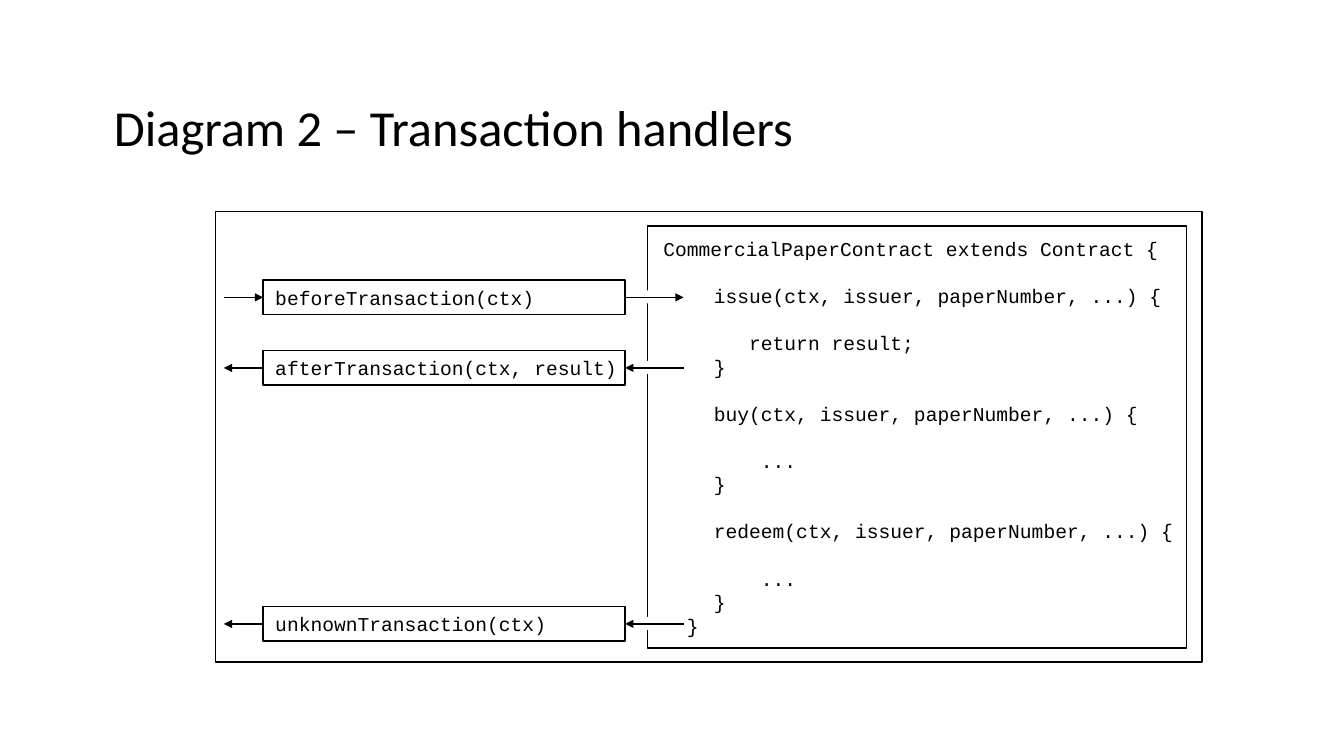
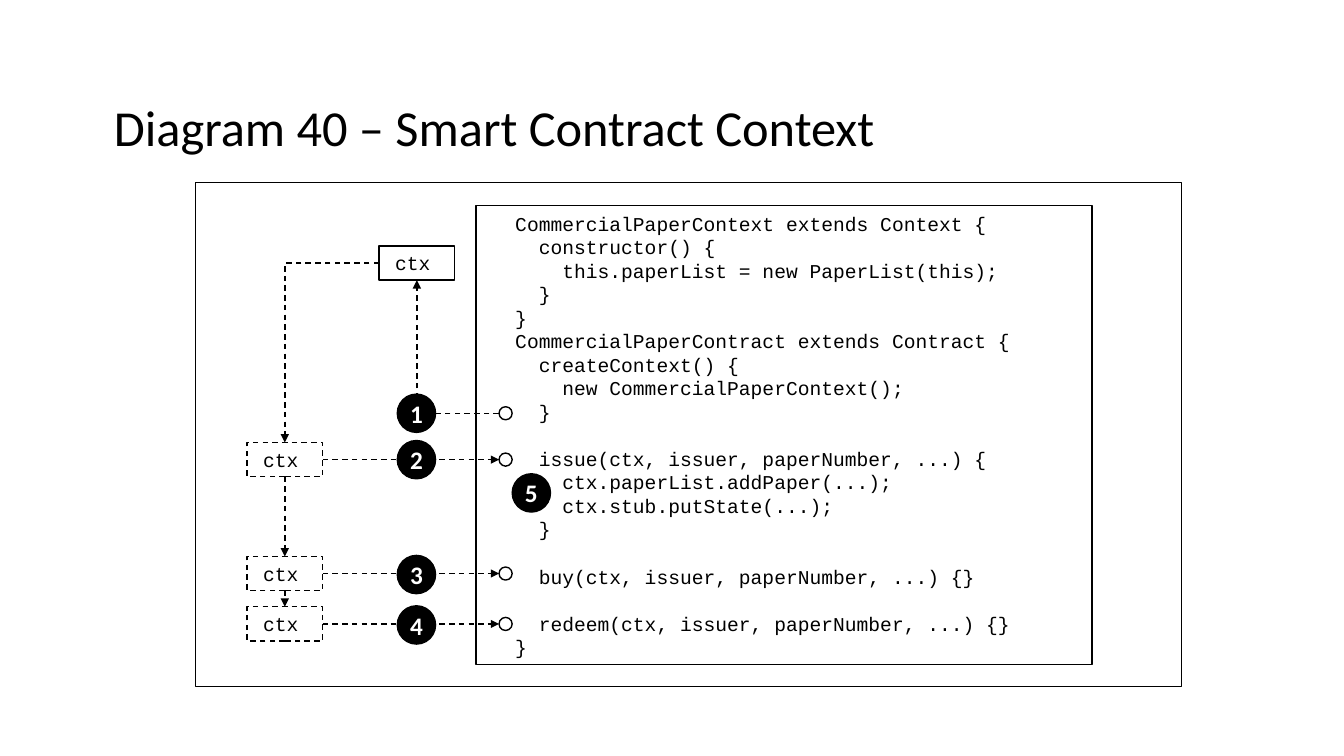
"""Build two diagrams of a smart contract: transaction handlers and context."""
from lxml.etree import SubElement
from pptx import Presentation
from pptx.dml.color import RGBColor
from pptx.enum.dml import MSO_LINE_DASH_STYLE as DASH
from pptx.enum.shapes import MSO_CONNECTOR as CONNECTOR, MSO_SHAPE as SHAPE
from pptx.enum.text import MSO_ANCHOR as ANCHOR, PP_ALIGN as ALIGN
from pptx.oxml.ns import qn
from pptx.util import Inches, Pt

BLACK = RGBColor(0x00, 0x00, 0x00)
WHITE = RGBColor(0xFF, 0xFF, 0xFF)
TITLE_FONT = "Calibri"
CODE_FONT = "Courier New"
CODE_SIZE = 14
BOX_HEIGHT = 0.34
DOT = 0.13
BADGE = 0.38

HANDLER_CODE = """CommercialPaperContract extends Contract {

issue(ctx, issuer, paperNumber, ...) {

   return result;
}

buy(ctx, issuer, paperNumber, ...) {

    ...
}

redeem(ctx, issuer, paperNumber, ...) {

    ...
}
  }"""

CONTEXT_CODE = """CommercialPaperContext extends Context {
  constructor() {
    this.paperList = new PaperList(this);
  }
}
CommercialPaperContract extends Contract {
  createContext() {
    new CommercialPaperContext();
  }

  issue(ctx, issuer, paperNumber, ...) {
    ctx.paperList.addPaper(...);
    ctx.stub.putState(...);
  }

  buy(ctx, issuer, paperNumber, ...) {}

  redeem(ctx, issuer, paperNumber, ...) {}
}"""


def draw(page, kind, left, top, width, height, code="", inset=0.16, right=0.05,
         fill=WHITE, outline=True, dashed=False):
    """Add a shape with optional left-aligned code."""
    shape = page.shapes.add_shape(kind, Inches(left), Inches(top), Inches(width), Inches(height))
    shape.shadow.inherit = False
    if fill is None:
        shape.fill.background()
    else:
        shape.fill.solid()
        shape.fill.fore_color.rgb = fill
    if outline:
        shape.line.color.rgb = BLACK
        shape.line.width = Pt(1)
        if dashed:
            shape.line.dash_style = DASH.DASH
    else:
        shape.line.fill.background()
    if code:
        frame = shape.text_frame
        frame.word_wrap = True
        frame.vertical_anchor = ANCHOR.MIDDLE
        frame.margin_left, frame.margin_right = Inches(inset), Inches(right)
        frame.margin_top = frame.margin_bottom = Inches(0.05)
        frame.text = code
        for para in frame.paragraphs:
            para.alignment = ALIGN.LEFT
            para.font.name = CODE_FONT
            para.font.size = Pt(CODE_SIZE)
            para.font.color.rgb = BLACK
            if not para.text:
                blank = SubElement(para._p, qn("a:endParaRPr"), sz=str(CODE_SIZE * 100))
                SubElement(blank, qn("a:latin"), typeface=CODE_FONT)
    return shape


def connect(page, start_x, start_y, end_x, end_y, dashed=False, bent=False):
    """Add an arrow that points at its end."""
    kind = CONNECTOR.ELBOW if bent else CONNECTOR.STRAIGHT
    arrow = page.shapes.add_connector(
        kind, Inches(start_x), Inches(start_y), Inches(end_x), Inches(end_y))
    arrow.line.color.rgb = BLACK
    arrow.line.width = Pt(1)
    if dashed:
        arrow.line.dash_style = DASH.DASH
    properties = arrow._element.spPr
    SubElement(properties.find(qn("a:ln")), qn("a:tailEnd"), type="triangle")
    SubElement(properties, qn("a:effectLst"))
    if bent:
        properties.find(qn("a:prstGeom")).set("prst", "bentConnector2")
    return arrow


deck = Presentation()
deck.slide_width, deck.slide_height = Inches(13.33), Inches(7.5)

pages = []
for title, frame_box in [
    ("Diagram 2 – Transaction handlers", (2.14, 2.1, 9.78, 4.47)),
    ("Diagram 40 – Smart Contract Context", (1.94, 1.81, 9.78, 5)),
]:
    page = deck.slides.add_slide(deck.slide_layouts[6])
    draw(page, SHAPE.RECTANGLE, *frame_box, fill=None)
    box = page.shapes.add_textbox(Inches(1.08), Inches(0.57), Inches(11.5), Inches(1.45))
    frame = box.text_frame
    frame.word_wrap = True
    frame.vertical_anchor = ANCHOR.MIDDLE
    frame.margin_left = frame.margin_right = Inches(0.05)
    frame.margin_top = frame.margin_bottom = Inches(0.05)
    frame.text = title
    para = frame.paragraphs[0]
    para.line_spacing = 0.9
    para.font.name = TITLE_FONT
    para.font.size = Pt(36)
    para.font.color.rgb = BLACK
    pages.append(page)
handlers, context = pages

contract = draw(handlers, SHAPE.RECTANGLE, 6.42, 2.24, 5.35, 4.19, HANDLER_CODE)
for para in contract.text_frame.paragraphs[2:-1]:
    para._p.get_or_add_pPr().set("marL", str(Inches(0.5)))

for call, middle, incoming in [
    ("beforeTransaction(ctx)", 2.95, True),
    ("afterTransaction(ctx, result)", 3.65, False),
    ("unknownTransaction(ctx)", 6.19, False),
]:
    handler = draw(handlers, SHAPE.RECTANGLE, 2.61, middle - BOX_HEIGHT / 2, 3.59, BOX_HEIGHT,
                   call, inset=0.12, right=0)
    draw(handlers, SHAPE.RECTANGLE, 6.35, middle - 0.07, 0.13, 0.13, outline=False)
    if incoming:
        connect(handlers, 2.22, middle, 2.61, middle).end_connect(handler, 1)
        connect(handlers, 6.2, middle, 6.78, middle).begin_connect(handler, 3)
    else:
        connect(handlers, 2.61, middle, 2.22, middle).begin_connect(handler, 1)
        connect(handlers, 6.78, middle, 6.2, middle).end_connect(handler, 3)

draw(context, SHAPE.RECTANGLE, 4.72, 2.04, 6.11, 4.55, CONTEXT_CODE, inset=0.39)
created = draw(context, SHAPE.RECTANGLE, 3.76, 2.44, 0.75, BOX_HEIGHT, "ctx")
dot = draw(context, SHAPE.OVAL, 4.95, 4.1 - DOT / 2, DOT, DOT)
arrow = connect(context, 4.95, 4.1, 4.13, 2.78, dashed=True, bent=True)
arrow.begin_connect(dot, 2)
arrow.begin_x, arrow.begin_y = Inches(4.95), Inches(4.1)
arrow.end_connect(created, 2)

previous, site, start = created, 1, (3.76, 2.61)
for middle in (4.56, 5.69, 6.19):
    top = middle - BOX_HEIGHT / 2
    passed = draw(context, SHAPE.RECTANGLE, 2.45, top, 0.75, BOX_HEIGHT, "ctx", dashed=True)
    draw(context, SHAPE.OVAL, 4.95, middle - DOT / 2, DOT, DOT)
    down = connect(context, *start, 2.82, top, dashed=True, bent=previous is created)
    down.begin_connect(previous, site)
    down.end_connect(passed, 0)
    connect(context, 3.2, middle, 4.95, middle, dashed=True).begin_connect(passed, 3)
    previous, site, start = passed, 2, (2.82, top + BOX_HEIGHT)

badge_centres = [(4.13, 4.1), (4.13, 4.56), (4.13, 5.7), (4.13, 6.2), (5.27, 4.89)]
for number, (center, middle) in enumerate(badge_centres, 1):
    badge = draw(context, SHAPE.OVAL, center - BADGE / 2, middle - BADGE / 2, BADGE, BADGE,
                 str(number), inset=0, right=0, fill=BLACK)
    para = badge.text_frame.paragraphs[0]
    para.alignment = ALIGN.CENTER
    para.font.name = TITLE_FONT
    para.font.size = Pt(18)
    para.font.bold = True
    para.font.color.rgb = WHITE

deck.save("out.pptx")
